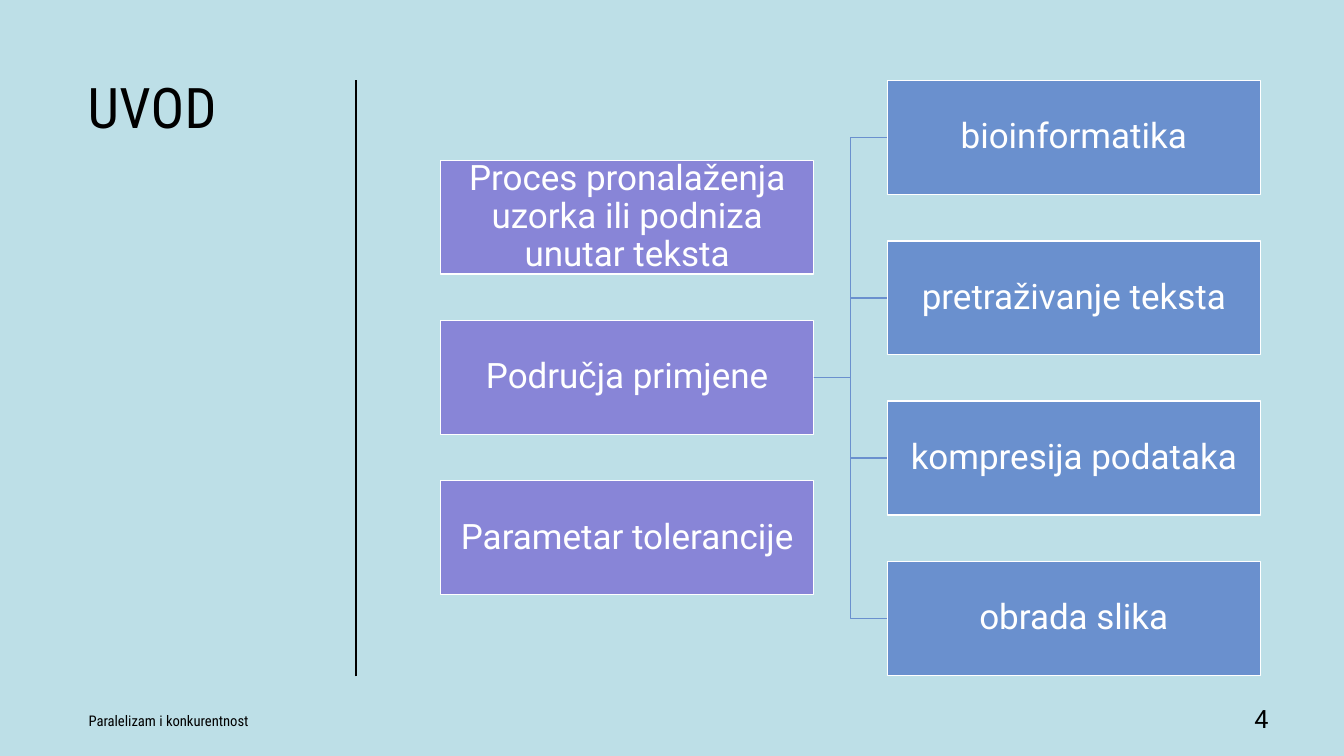
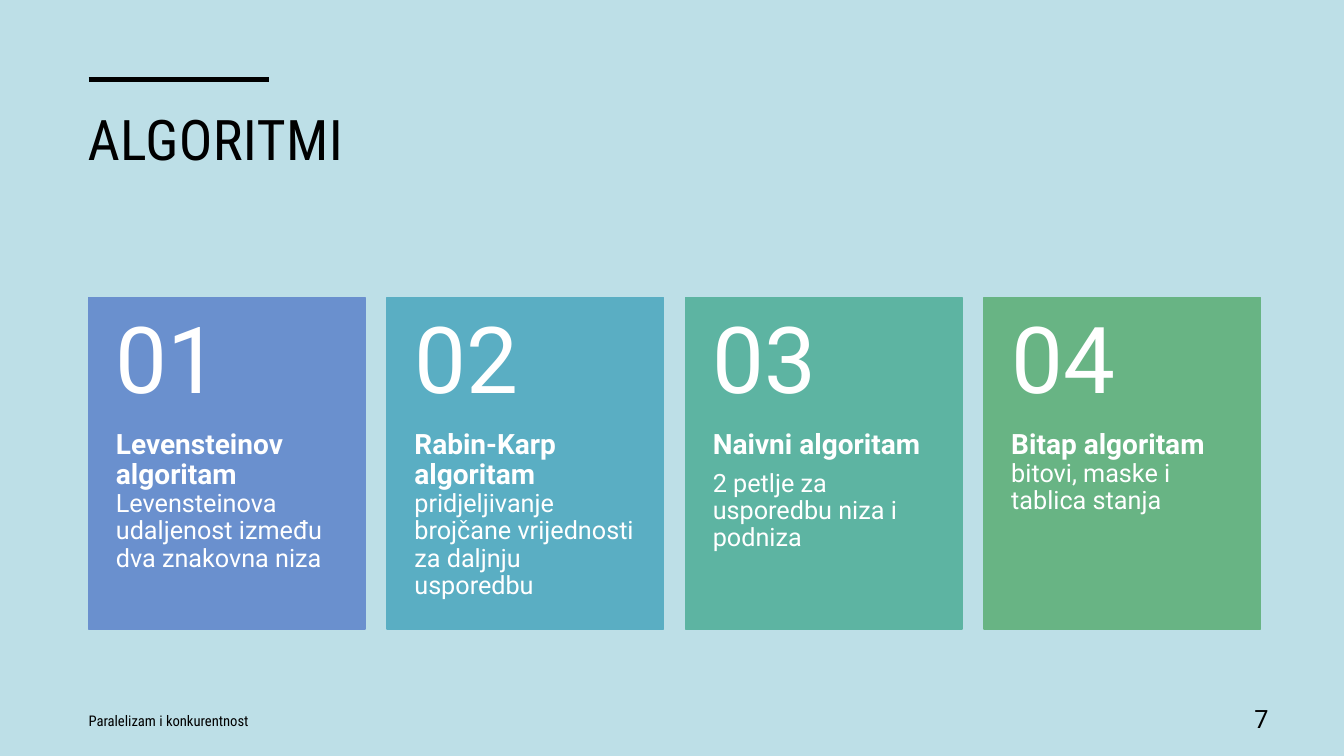
from lxml import etree
from pptx import Presentation
from pptx.dml.color import RGBColor
from pptx.enum.shapes import MSO_CONNECTOR, MSO_SHAPE
from pptx.enum.text import MSO_ANCHOR, PP_ALIGN
from pptx.oxml.ns import qn
from pptx.util import Inches, Pt

BACKGROUND = RGBColor(0xBD, 0xDF, 0xE7)
BLACK = RGBColor(0, 0, 0)
WHITE = RGBColor(0xFF, 0xFF, 0xFF)
PURPLE = RGBColor(0x88, 0x85, 0xD7)
BLUE = RGBColor(0x6A, 0x90, 0xCE)
CYAN = RGBColor(0x5A, 0xAE, 0xC3)
TEAL = RGBColor(0x5D, 0xB4, 0xA2)
GREEN = RGBColor(0x68, 0xB4, 0x84)

BODY_FONT = "Roboto"
HEAD_FONT = "Roboto Condensed"
FOOTER = "Paralelizam i konkurentnost"

BOX_WIDTH, BOX_HEIGHT, BOX_PITCH = 3.7, 1.13, 1.59
CARD_LEFT, CARD_TOP, CARD_WIDTH, CARD_PITCH = 0.88, 2.95, 2.74, 2.96
NUMBER_HEIGHT, DETAIL_HEIGHT = 1.32, 1.97

TOPICS = ["Proces pronalaženja uzorka ili podniza unutar teksta",
          "Područja primjene", "Parametar tolerancije"]
APPLICATIONS = ["bioinformatika", "pretraživanje teksta",
                "kompresija podataka", "obrada slika"]
# Heading, description, points between the two, colour
ALGORITHMS = [
    ("Levensteinov algoritam",
     "Levensteinova udaljenost između dva znakovna niza", 0, BLUE),
    ("Rabin-Karp algoritam",
     "pridjeljivanje brojčane vrijednosti za daljnju usporedbu", 0, CYAN),
    ("Naivni algoritam", "2 petlje za usporedbu niza i podniza", 7, TEAL),
    ("Bitap algoritam", "bitovi, maske i tablica stanja", 0, GREEN),
]


def set_frame(frame, anchor, insets):
    """Wrap the text and set its anchor and left, top, right, bottom insets."""
    frame.word_wrap = True
    frame.vertical_anchor = anchor
    (frame.margin_left, frame.margin_top,
     frame.margin_right, frame.margin_bottom) = map(Inches, insets)


def style(paragraph, size, color, font=BODY_FONT, bold=False,
          align=PP_ALIGN.LEFT, spacing=0.9):
    paragraph.alignment = align
    paragraph.line_spacing = spacing
    for run in paragraph.runs:
        run.font.size = Pt(size)
        run.font.name = font
        run.font.bold = bold
        run.font.color.rgb = color


def add_text(slide, area, lines, anchor=MSO_ANCHOR.TOP,
             insets=(0.1, 0.05, 0.1, 0.05)):
    """Add a text box with one paragraph a line and return the paragraphs."""
    frame = slide.shapes.add_textbox(*map(Inches, area)).text_frame
    set_frame(frame, anchor, insets)
    frame.text = "\n".join(lines)
    return frame.paragraphs


def add_rect(slide, area, fill, outline):
    rect = slide.shapes.add_shape(MSO_SHAPE.RECTANGLE, *map(Inches, area))
    rect.shadow.inherit = False
    rect.fill.solid()
    rect.fill.fore_color.rgb = fill
    rect.line.color.rgb = outline
    rect.line.width = Pt(1)
    return rect


def add_line(slide, start, end, color, width, kind=MSO_CONNECTOR.STRAIGHT):
    line = slide.shapes.add_connector(kind, *map(Inches, start + end))
    line.line.color.rgb = color
    line.line.width = Pt(width)
    etree.SubElement(line._element.spPr, qn("a:effectLst"))
    return line


def add_slide(deck, title, title_area, number):
    """Add a slide with the shared background, title style and footer."""
    slide = deck.slides.add_slide(deck.slide_layouts[6])
    slide.background.fill.solid()
    slide.background.fill.fore_color.rgb = BACKGROUND

    heading = add_text(slide, title_area, [title])[0]
    style(heading, 40, BLACK, HEAD_FONT, spacing=1.0)
    heading.runs[0].font._element.set("spc", "30")

    footer = add_text(slide, (0.78, 6.95, 4.96, 0.4), [FOOTER],
                      MSO_ANCHOR.MIDDLE)[0]
    style(footer, 10.5, BLACK, HEAD_FONT, spacing=1.0)
    page = add_text(slide, (11.94, 6.95, 0.74, 0.4), [str(number)],
                    MSO_ANCHOR.MIDDLE)[0]
    style(page, 18, BLACK, align=PP_ALIGN.RIGHT)
    return slide


def add_box_column(slide, left, top, labels, fill):
    boxes = []
    for row, label in enumerate(labels):
        area = (left, top + row * BOX_PITCH, BOX_WIDTH, BOX_HEIGHT)
        box = add_rect(slide, area, fill, WHITE)
        set_frame(box.text_frame, MSO_ANCHOR.MIDDLE, (0.02,) * 4)
        box.text_frame.text = label
        style(box.text_frame.paragraphs[0], 25, WHITE, align=PP_ALIGN.CENTER)
        boxes.append(box)
    return boxes


def add_branch(slide, parent, child):
    """Join the right side of the parent to the left side of the child."""
    branch = add_line(slide, (0, 0), (1, 1), BLUE, 1, MSO_CONNECTOR.ELBOW)
    branch.begin_connect(parent, 3)
    branch.end_connect(child, 1)


def add_card(slide, index, heading, description, gap, color):
    left = CARD_LEFT + index * CARD_PITCH
    add_rect(slide, (left, CARD_TOP, CARD_WIDTH, NUMBER_HEIGHT + DETAIL_HEIGHT),
             color, color)
    number = add_text(slide, (left, CARD_TOP, CARD_WIDTH, NUMBER_HEIGHT),
                      [f"{index + 1:02}"], MSO_ANCHOR.MIDDLE,
                      (0.27, 0.18, 0.27, 0.18))[0]
    style(number, 66, WHITE)
    name, detail = add_text(
        slide, (left, CARD_TOP + NUMBER_HEIGHT, CARD_WIDTH, DETAIL_HEIGHT),
        [heading, description], insets=(0.27, 0, 0.27, 0.36))
    style(name, 20, WHITE, bold=True)
    name.space_after = Pt(gap)
    style(detail, 18, WHITE)


def build_intro(deck):
    slide = add_slide(deck, "UVOD", (0.77, 0.67, 2.45, 4.91), 4)
    add_line(slide, (3.53, 6.71), (3.53, 0.79), BLACK, 1)
    topics = add_box_column(slide, 4.37, 1.59, TOPICS, PURPLE)
    applications = add_box_column(slide, 8.8, 0.8, APPLICATIONS, BLUE)
    for application in applications:
        add_branch(slide, topics[1], application)


def build_algorithms(deck):
    slide = add_slide(deck, "ALGORITMI", (0.77, 0.99, 11.81, 1.15), 7)
    add_line(slide, (0.88, 0.79), (2.67, 0.79), BLACK, 3.5)
    for index, algorithm in enumerate(ALGORITHMS):
        add_card(slide, index, *algorithm)


def main():
    deck = Presentation()
    deck.slide_width = Inches(13.33)
    deck.slide_height = Inches(7.5)
    build_intro(deck)
    build_algorithms(deck)
    deck.save("out.pptx")


if __name__ == "__main__":
    main()
